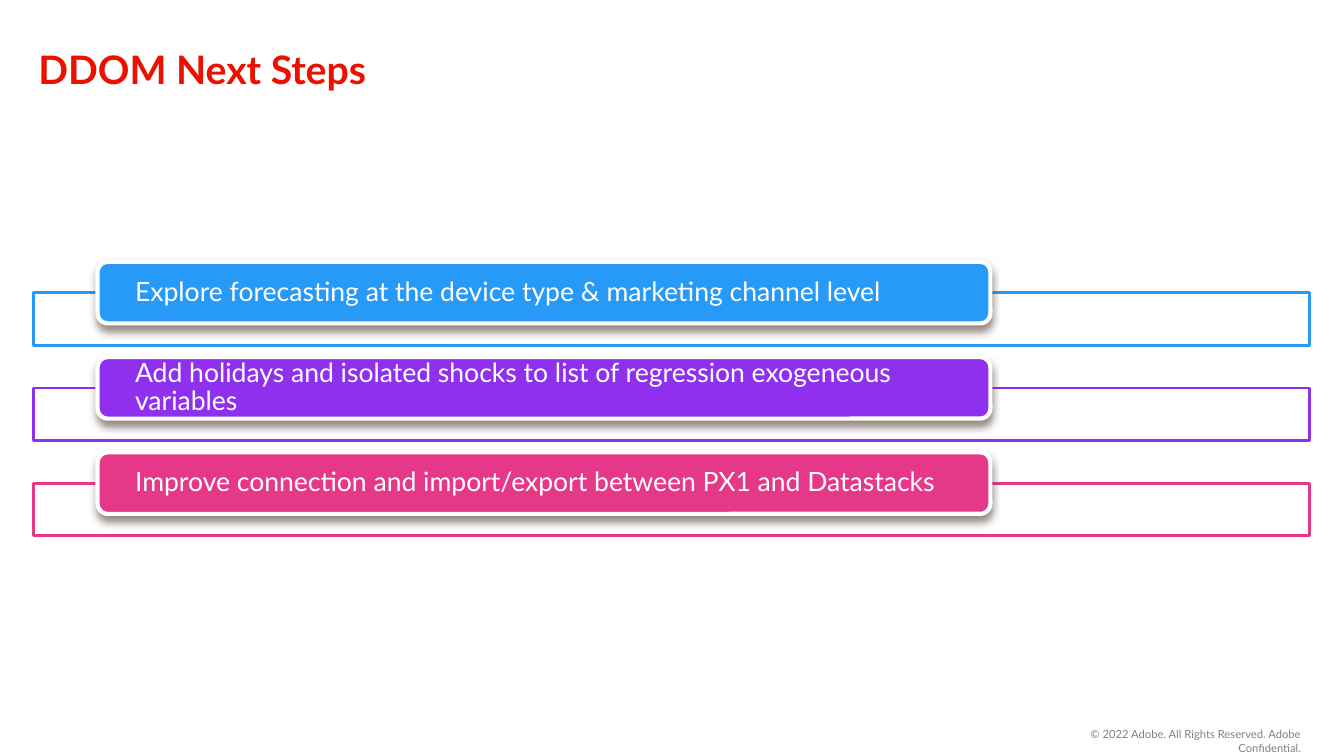
"""Build the DDOM Next Steps slide: three coloured action bars."""
from dataclasses import dataclass

from lxml import etree
from pptx import Presentation
from pptx.dml.color import RGBColor
from pptx.enum.shapes import MSO_SHAPE
from pptx.enum.text import MSO_ANCHOR, PP_ALIGN
from pptx.oxml import parse_xml
from pptx.oxml.ns import nsdecls, qn
from pptx.util import Cm, Pt

RECTANGLE = MSO_SHAPE.RECTANGLE
ROUNDED = MSO_SHAPE.ROUNDED_RECTANGLE
MIDDLE, TOP = MSO_ANCHOR.MIDDLE, MSO_ANCHOR.TOP
LEFT, RIGHT = PP_ALIGN.LEFT, PP_ALIGN.RIGHT


@dataclass(frozen=True)
class Theme:
    font: str = "Lato"
    title: str = "EB1000"
    footer: str = "808080"
    white: str = "FFFFFF"
    shadow: str = "4E3B30"
    steps: tuple = ("2799F6", "8E30EE", "E63888")
    title_size: int = 28
    step_size: int = 19
    footer_size: int = 8


theme = Theme()


def write(shape, text, size, color, bold=False, align=LEFT, anchor=MIDDLE,
          side=0.25, edge=0.13, spacing=1.0):
    """Fill a shape with one formatted paragraph."""
    frame = shape.text_frame
    frame.word_wrap = True
    frame.vertical_anchor = anchor
    frame.margin_left = frame.margin_right = Cm(side)
    frame.margin_top = frame.margin_bottom = Cm(edge)
    paragraph = frame.paragraphs[0]
    paragraph.alignment = align
    paragraph.line_spacing = spacing
    run = paragraph.add_run()
    run.text = text
    run.font.name = theme.font
    run.font.size = Pt(size)
    run.font.bold = bold
    run.font.color.rgb = RGBColor.from_string(color)


def add_box(slide, kind, position, fill, line, width):
    """Add a filled and outlined shape without a shadow."""
    shape = slide.shapes.add_shape(kind, *map(Cm, position))
    shape.shadow.inherit = False
    shape.fill.solid()
    shape.fill.fore_color.rgb = RGBColor.from_string(fill)
    shape.line.color.rgb = RGBColor.from_string(line)
    shape.line.width = Pt(width)
    return shape


presentation = Presentation()
presentation.slide_width = Cm(33.87)
presentation.slide_height = Cm(19.05)
slide = presentation.slides.add_slide(presentation.slide_layouts[6])

footer = slide.shapes.add_textbox(Cm(25.83), Cm(18.21), Cm(7.21), Cm(0.76))
write(footer, "© 2022 Adobe. All Rights Reserved. Adobe Confidential.",
      theme.footer_size, theme.footer, align=RIGHT, anchor=TOP)

title = slide.shapes.add_textbox(Cm(0.84), Cm(0.79), Cm(32.16), Cm(1.88))
write(title, "DDOM Next Steps", theme.title_size, theme.title, bold=True, side=0.13)

steps = (
    "Explore forecasting at the device type & marketing channel level",
    "Add holidays and isolated shocks to list of regression exogeneous variables",
    "Improve connection and import/export between PX1 and Datastacks",
)
first_top, pitch, frame_drop = 6.6, 2.4, 0.78

for index, (step, color) in enumerate(zip(steps, theme.steps)):
    top = first_top + index * pitch
    frame_box = add_box(slide, RECTANGLE, (0.84, top + frame_drop, 32.16, 1.32),
                        theme.white, color, 2)
    white_fill = frame_box.fill._xPr.find(qn("a:solidFill"))[0]
    etree.SubElement(white_fill, qn("a:alpha"), val="90000")

    bar = add_box(slide, ROUNDED, (2.46, top, 22.5, 1.55), color, theme.white, 3)
    effects = bar._element.spPr.find(qn("a:effectLst"))
    effects.append(parse_xml(
        f'<a:outerShdw {nsdecls("a")} blurRad="{Pt(6)}" dist="{Pt(4)}" dir="5400000" '
        f'rotWithShape="0"><a:srgbClr val="{theme.shadow}"><a:alpha val="60000"/>'
        '</a:srgbClr></a:outerShdw>'))
    write(bar, step, theme.step_size, theme.white, side=0.87, edge=0, spacing=0.9)

presentation.save("out.pptx")
